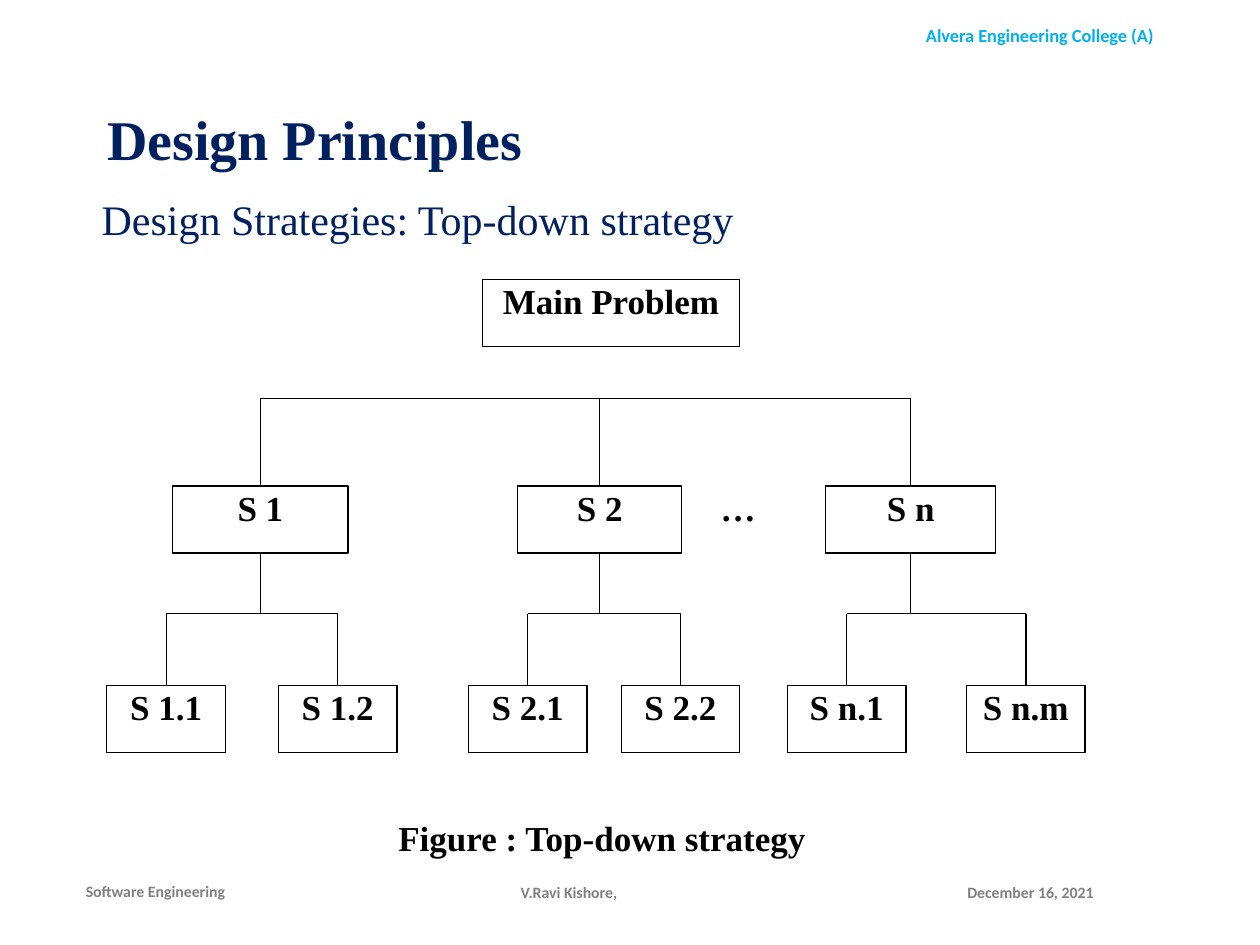
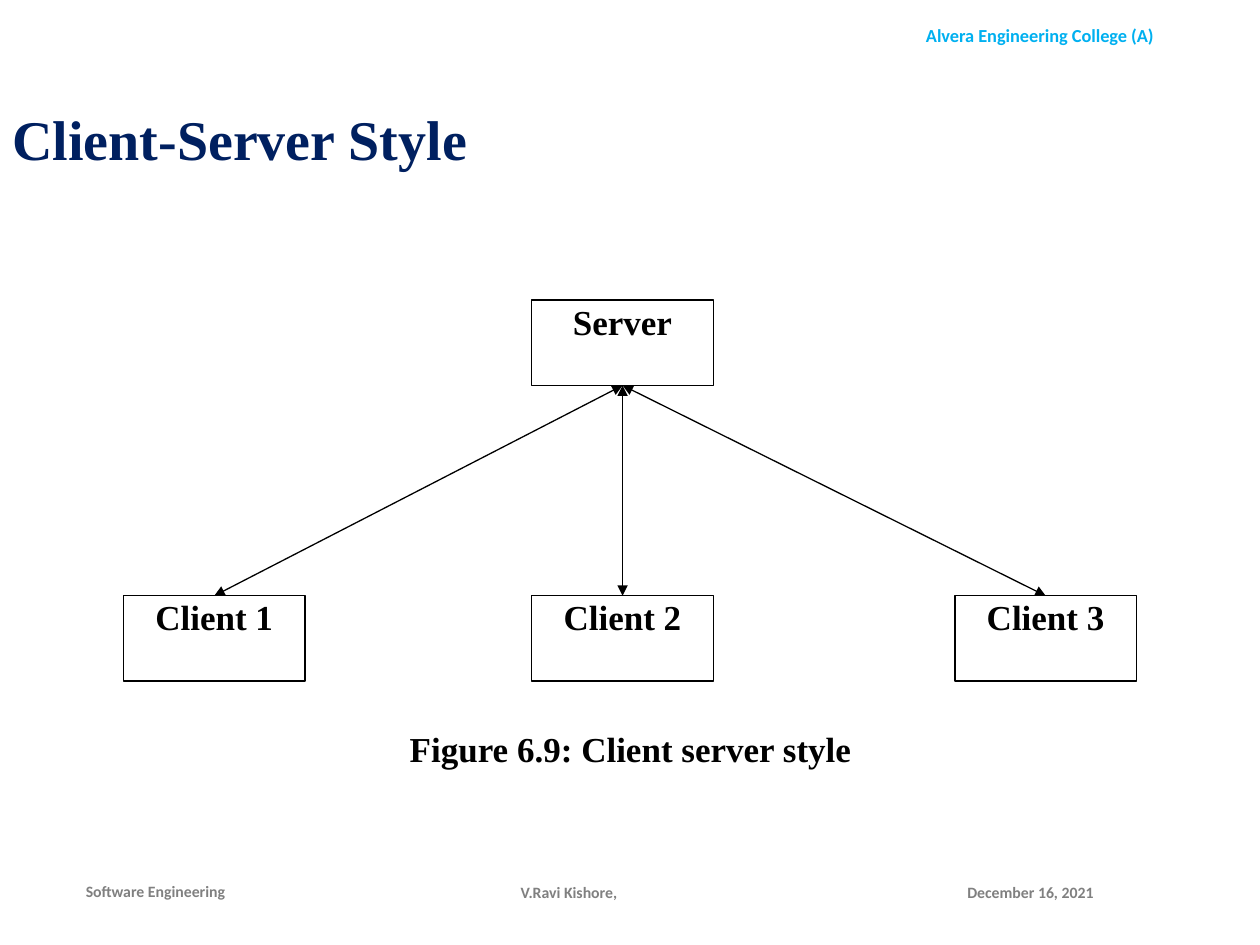
from dataclasses import dataclass

from lxml.etree import SubElement
from pptx import Presentation
from pptx.dml.color import RGBColor
from pptx.enum.shapes import MSO_CONNECTOR as Link, MSO_SHAPE as Shape
from pptx.enum.text import MSO_ANCHOR as Anchor, MSO_AUTO_SIZE as AutoSize, PP_ALIGN as Align
from pptx.oxml.ns import qn
from pptx.util import Cm, Pt


@dataclass(frozen=True)
class Theme:
    """Colours, fonts, type sizes and line width of the deck."""
    navy: str = "002060"
    sky: str = "00B0F0"
    grey: str = "808080"
    black: str = "000000"
    white: str = "FFFFFF"
    serif: str = "Times New Roman"
    sans: str = "Calibri"
    title: float = 32
    subtitle: float = 24
    label: float = 20
    header: float = 10.5
    footer: float = 9
    line: float = 0.75


THEME = Theme()
TITLE_AREA = (0, 1.02, 21.89, 3.68)
MARGINS = ("margin_left", "margin_top", "margin_right", "margin_bottom")
RUNNING_TEXTS = (
    ("Alvera Engineering College (A)", (17.32, 0.36, 7.29, 0.71),
     dict(size=THEME.header, color=THEME.sky, align=Align.CENTER, anchor=Anchor.TOP)),
    ("Software Engineering", (1.55, 17.45, 4.01, 1.02),
     dict(align=Align.JUSTIFY, insets=(0.18, 0.1, 0.18, 0.1))),
    ("December 16, 2021", (19.25, 17.48, 4.39, 1.02), {}),
    ("V.Ravi Kishore,", (8.61, 17.48, 5.72, 1.02), dict(align=Align.CENTER)),
)


def cm(values):
    """Turn numbers into centimetre lengths."""
    return [Cm(v) for v in values]


def set_all(target, values):
    """Set attributes of an object from a dict."""
    for name, value in values.items():
        setattr(target, name, value)


def write(sp, text, size, color, font=THEME.serif, bold=True, align=Align.LEFT,
          anchor=Anchor.TOP, insets=(0.25, 0.13, 0.25, 0.13), **spacing):
    """Write one formatted paragraph into a shape."""
    tf = sp.text_frame
    set_all(tf, dict(word_wrap=True, auto_size=AutoSize.NONE, vertical_anchor=anchor))
    set_all(tf, dict(zip(MARGINS, cm(insets))))
    p = tf.paragraphs[0]
    set_all(p, dict(alignment=align, **spacing))
    r = p.add_run()
    r.text = text
    set_all(r.font, dict(name=font, size=Pt(size), bold=bold))
    r.font.color.rgb = RGBColor.from_string(color)


def add_text(slide, text, area, **style):
    """Add a text box."""
    write(slide.shapes.add_textbox(*cm(area)), text, **style)


def add_box(slide, text, area, kind=Shape.RECTANGLE, outline=THEME.black, align=Align.CENTER):
    """Add a white labelled box."""
    sp = slide.shapes.add_shape(kind, *cm(area))
    sp.shadow.inherit = False
    sp.fill.solid()
    sp.fill.fore_color.rgb = RGBColor.from_string(THEME.white)
    sp.line.color.rgb = RGBColor.from_string(outline)
    sp.line.width = Pt(THEME.line)
    write(sp, text, THEME.label, THEME.black, align=align, insets=(0, 0, 0, 0))


def add_plain(slide, text, area):
    """Add a left-aligned label without a visible outline."""
    add_box(slide, text, area, outline=THEME.white, align=Align.LEFT)


def add_line(slide, start, end, arrows=False):
    """Add a straight line, with arrowheads at both ends on request."""
    line = slide.shapes.add_connector(Link.STRAIGHT, *cm(start + end))
    line.line.color.rgb = RGBColor.from_string(THEME.black)
    line.line.width = Pt(THEME.line)
    if arrows:
        ln = line.line._get_or_add_ln()
        for tag in ("a:headEnd", "a:tailEnd"):
            SubElement(ln, qn(tag), type="triangle")
    SubElement(line._element.spPr, qn("a:effectLst"))


def add_fork(slide, bar_y, centres, bottom):
    """Add a horizontal bar with a drop to each centre."""
    add_line(slide, (centres[0], bar_y), (centres[-1], bar_y))
    for x in centres:
        add_line(slide, (x, bar_y), (x, bottom))


def new_slide(prs, title, indent=0.25):
    """Add a slide with its title, header and footers."""
    slide = prs.slides.add_slide(prs.slide_layouts[5])
    sp = slide.shapes.title
    set_all(sp, dict(zip(("left", "top", "width", "height"), cm(TITLE_AREA))))
    write(sp, title, THEME.title, THEME.navy, anchor=Anchor.MIDDLE,
          insets=(indent, 0.13, 0.25, 0.13), line_spacing=0.9)
    base = dict(size=THEME.footer, color=THEME.grey, font=THEME.sans, anchor=Anchor.MIDDLE)
    for text, area, style in RUNNING_TEXTS:
        add_text(slide, text, area, **{**base, **style})
    return slide


def top_down_slide(prs):
    """Build the tree of the top-down strategy."""
    slide = new_slide(prs, "Design Principles", indent=2.16)
    add_text(slide, "Design Strategies: Top-down strategy", (1.8, 3.89, 21.89, 13.06),
             size=THEME.subtitle, color=THEME.navy, bold=False,
             line_spacing=0.9, space_before=Pt(7.5))
    height, mid_y, leaf_y, leaf_width = 1.35, 9.8, 13.82, 2.39
    branches = (
        ("S 1", 5.25, 3.53, {"S 1.1": 3.35, "S 1.2": 6.81}),
        ("S 2", 12.09, 3.3, {"S 2.1": 10.64, "S 2.2": 13.72}),
        ("S n", 18.36, 3.43, {"S n.1": 17.07, "S n.m": 20.68}),
    )
    add_box(slide, "Main Problem", (9.73, 5.64, 5.18, height))
    add_fork(slide, 8.03, [centre for _, centre, _, _ in branches], mid_y)
    for name, centre, width, leaves in branches:
        add_box(slide, name, (centre - width / 2, mid_y, width, height))
        add_line(slide, (centre, mid_y + height), (centre, 12.37))
        add_fork(slide, 12.37, list(leaves.values()), leaf_y)
        for leaf, x in leaves.items():
            add_box(slide, leaf, (x - leaf_width / 2, leaf_y, leaf_width, height))
    add_plain(slide, "…", (14.53, mid_y, 1.07, 1.32))
    add_plain(slide, "Figure : Top-down strategy", (8.03, 16.46, 9.68, 1.22))


def client_server_slide(prs):
    """Build the server with its three clients."""
    slide = new_slide(prs, "Client-Server Style")
    width, height, server_x, server_y, client_y = 3.66, 1.72, 12.55, 6.05, 12.01
    clients = {"Client 1": 4.32, "Client 2": server_x, "Client 3": 21.08}
    nodes = [("Server", server_x, server_y)] + [(n, x, client_y) for n, x in clients.items()]
    for name, x, y in nodes:
        add_box(slide, name, (x - width / 2, y, width, height), Shape.FLOWCHART_PROCESS)
    for x in clients.values():
        add_line(slide, (server_x, server_y + height), (x, client_y), arrows=True)
    add_plain(slide, "Figure 6.9: Client server style", (8.26, 14.66, 10.16, 1.19))


def main():
    """Build and save the deck."""
    prs = Presentation()
    set_all(prs, dict(slide_width=Cm(25.4), slide_height=Cm(19.05)))
    top_down_slide(prs)
    client_server_slide(prs)
    prs.save("out.pptx")


main()
